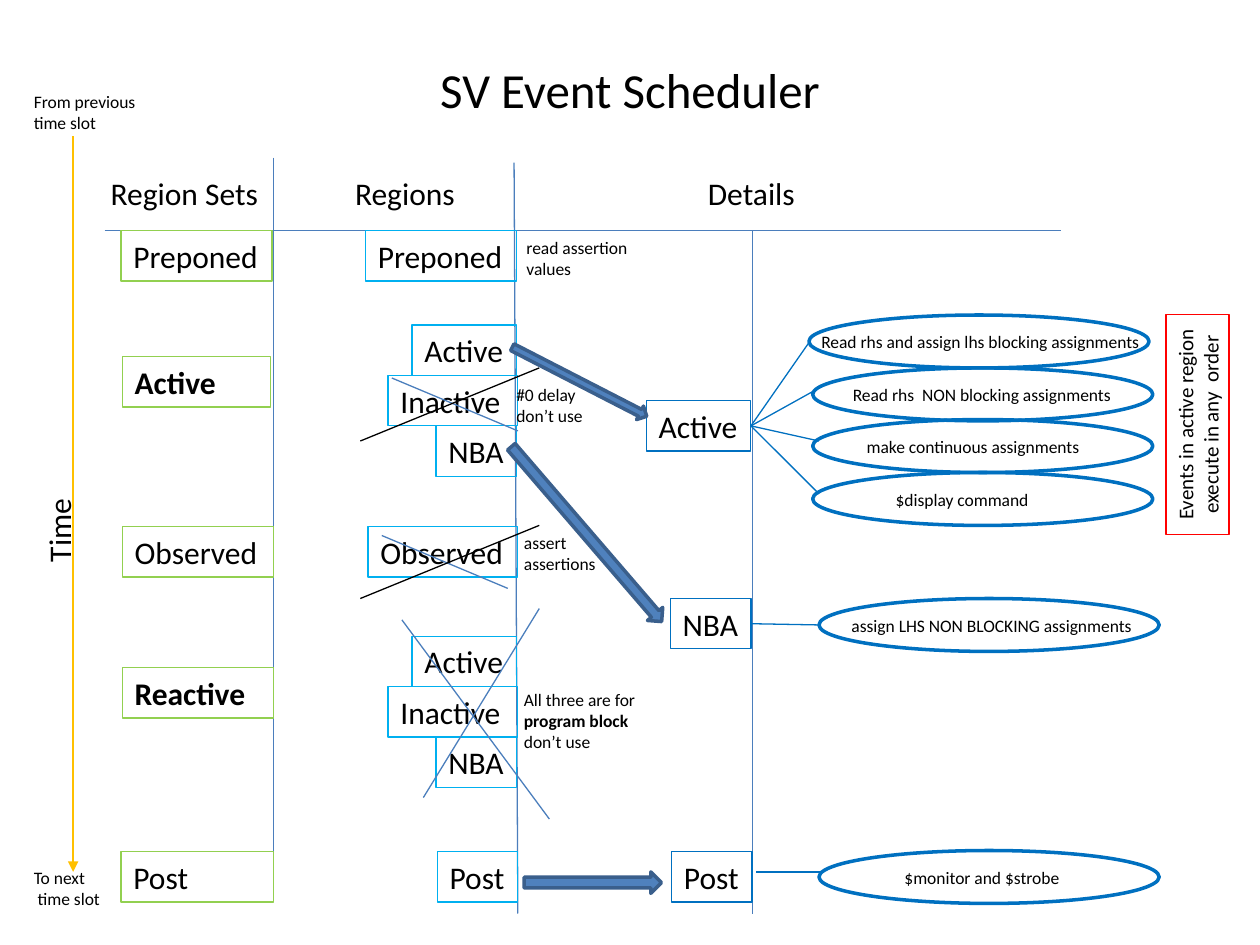
from pptx import Presentation
from pptx import util as u
from pptx.dml.color import RGBColor
from pptx.enum import shapes, text
from pptx.oxml.ns import qn
from lxml import etree

In = u.Inches
Kind = shapes.MSO_SHAPE
HEX = {"ink": "000000", "green": "92D050", "cyan": "00B0F0", "blue": "0070C0",
       "red": "FF0000", "rule": "4B7EBC", "gold": "FFC000",
       "arrow": "4F81BD", "edge": "3A5F8C"}
RGB = {name: RGBColor.from_string(code) for name, code in HEX.items()}

deck = Presentation()
deck.slide_width, deck.slide_height = In(10), In(7.5)
slide = deck.slides.add_slide(deck.slide_layouts[5])


def add_box(words, x, y, w, h, size=18, line=None, kind=None, fill=None,
            bold=False, wrap=False, mid=False, turn=0, weight=0.75):
    """Add a shape, or a plain text box when no line colour is given."""
    place = In(x), In(y), In(w), In(h)
    if line:
        box = slide.shapes.add_shape(kind or Kind.RECTANGLE, *place)
        box.shadow.inherit = False
        box.line.color.rgb = RGB[line]
        box.line.width = u.Pt(weight)
        if fill:
            box.fill.solid()
            box.fill.fore_color.rgb = RGB[fill]
        else:
            box.fill.background()
    else:
        box = slide.shapes.add_textbox(*place)
    box.rotation = turn
    if words:
        frame = box.text_frame
        frame.text = words
        frame.word_wrap = wrap
        frame.vertical_anchor = text.MSO_ANCHOR.TOP
        for para in frame.paragraphs:
            para.alignment = text.PP_ALIGN.CENTER if mid else text.PP_ALIGN.LEFT
            for run in para.runs:
                run.font.name, run.font.size = "Calibri", u.Pt(size)
                run.font.bold = bold
                run.font.color.rgb = RGB["ink"]
    return box


def add_line(x1, y1, x2, y2, color="rule"):
    line = slide.shapes.add_connector(
        shapes.MSO_CONNECTOR.STRAIGHT, In(x1), In(y1), In(x2), In(y2))
    line.line.color.rgb = RGB[color]
    line.line.width = u.Pt(0.75)
    etree.SubElement(line._element.spPr, qn("a:effectLst"))
    return line


# Title
title = slide.shapes.title
title.left, title.top, title.width, title.height = In(0.5), In(0.08), In(9), In(1.25)
title.text_frame.text = "SV Event Scheduler"
title.text_frame.vertical_anchor = text.MSO_ANCHOR.MIDDLE
head = title.text_frame.paragraphs[0]
head.alignment = text.PP_ALIGN.CENTER
font = head.runs[0].font
font.name, font.size, font.color.rgb = "Calibri", u.Pt(28), RGB["ink"]

# Column heads and rules
for words, x, w in [("Region Sets", 0.78, 1.38), ("Regions", 2.72, 1),
                    ("Details", 5.52, 0.9)]:
    add_box(words, x, 1.33, w, 0.4)
for ends in [(2.17, 1.25, 2.17, 7), (0.83, 1.83, 8.42, 1.83),
             (4.08, 1.29, 4.11, 7.25), (5.97, 1.83, 5.97, 7.25)]:
    add_line(*ends)

# Region sets
for words, x, y, w, bold in [
        ("Preponed", 0.96, 1.83, 1.2, False), ("Active", 0.97, 2.83, 1.18, True),
        ("Observed", 0.97, 4.18, 1.2, False), ("Reactive", 0.97, 5.3, 1.2, True),
        ("Post", 0.96, 6.76, 1.21, False)]:
    add_box(words, x, y, w, 0.4, line="green", bold=bold, wrap=True)

# Regions, with the three-step stack used twice
for words, x, y, w in [("Preponed", 2.9, 1.83, 1.2), ("Observed", 2.92, 4.18, 1.19),
                       ("Post", 3.47, 6.76, 0.64)]:
    add_box(words, x, y, w, 0.4, line="cyan")
for top in (2.58, 5.05):
    for i, (words, x, w) in enumerate([("Active", 3.27, 0.83), ("Inactive", 3.08, 1.03),
                                       ("NBA", 3.46, 0.64)]):
        add_box(words, x, top + 0.4 * i, w, 0.4, line="cyan")

# Strokes through the unused regions
for ends in [(3.11, 3, 4.11, 3.42), (3.03, 4.25, 4.03, 4.67),
             (3.19, 4.92, 4.36, 6.5), (4.28, 4.83, 3.36, 6.33)]:
    add_line(*ends)
for y in (2.92, 4.17):
    add_line(4.28, y, 2.86, y + 0.58, "ink")

# Side notes
for words, x, y, w in [
        ("read assertion\nvalues", 4.08, 1.83, 1.01),
        ("#0 delay\ndon’t use", 4, 3, 0.73),
        ("assert\nassertions", 4.06, 4.17, 0.78),
        ("From previous\ntime slot", 0.17, 0.67, 1.05),
        ("To next\n time slot", 0.17, 6.83, 0.73)]:
    add_box(words, x, y, w, 0.44, size=10)
note = add_box("All three are for\nprogram block\ndon’t use", 4.06, 5.42, 1.1, 0.61, size=10)
note.text_frame.paragraphs[1].runs[0].font.bold = True

# Detail boxes
active, nba, post = [
    add_box(words, x, y, w, 0.4, line="blue")
    for words, x, y, w in [("Active", 5.13, 3.18, 0.83), ("NBA", 5.32, 4.75, 0.64),
                           ("Post", 5.33, 6.76, 0.64)]]

# Ellipses, each with its label
for x, y, words, left, w in [
        (6.42, 2.5, "Read rhs and assign lhs blocking assignments", 6.42, 2.75),
        (6.45, 2.92, "Read rhs  NON blocking assignments", 6.67, 2.28),
        (6.45, 3.33, "make continuous assignments", 6.78, 1.92),
        (6.45, 3.75, "$display command", 7.01, 1.27),
        (6.5, 4.75, "assign LHS NON BLOCKING assignments", 6.66, 2.46),
        (6.5, 6.75, "$monitor and $strobe", 7.08, 1.45)]:
    add_box("", x, y, 2.7, 0.42, line="blue", kind=Kind.OVAL, weight=2)
    add_box(words, left, y + 0.08, w, 0.27, size=10)

# Links from the detail boxes to the ellipses
for box, x, y in [(active, 6.42, 2.72), (active, 6.5, 3.08), (active, 6.5, 3.5),
                  (active, 6.5, 3.92), (nba, 6.5, 4.96)]:
    add_line(5.97, 3.38, x, y, "blue").begin_connect(box, 3)
add_line(6.53, 6.92, 6, 6.92, "blue")

# Time axis and the remark on order
add_box("Time", -0.41, 4.01, 1.75, 0.4, wrap=True, mid=True, turn=270)
axis = add_line(0.58, 1.08, 0.58, 6.92, "gold")
etree.SubElement(axis.line._get_or_add_ln(), qn("a:tailEnd"), type="triangle")
add_box("Events in active region\nexecute in any  order", 8.63, 3.12, 1.75, 0.5,
        size=12, line="red", wrap=True, mid=True, turn=270)

# Block arrows from regions to details
for x, y, w, h, turn in [(4, 2.97, 1.2, 0.12, 27.2), (3.74, 4.16, 1.83, 0.16, 49.3),
                         (4.16, 6.92, 1.09, 0.17, 0)]:
    add_box("", x, y, w, h, line="edge", kind=Kind.RIGHT_ARROW, fill="arrow",
            turn=turn, weight=2)

deck.save("out.pptx")
